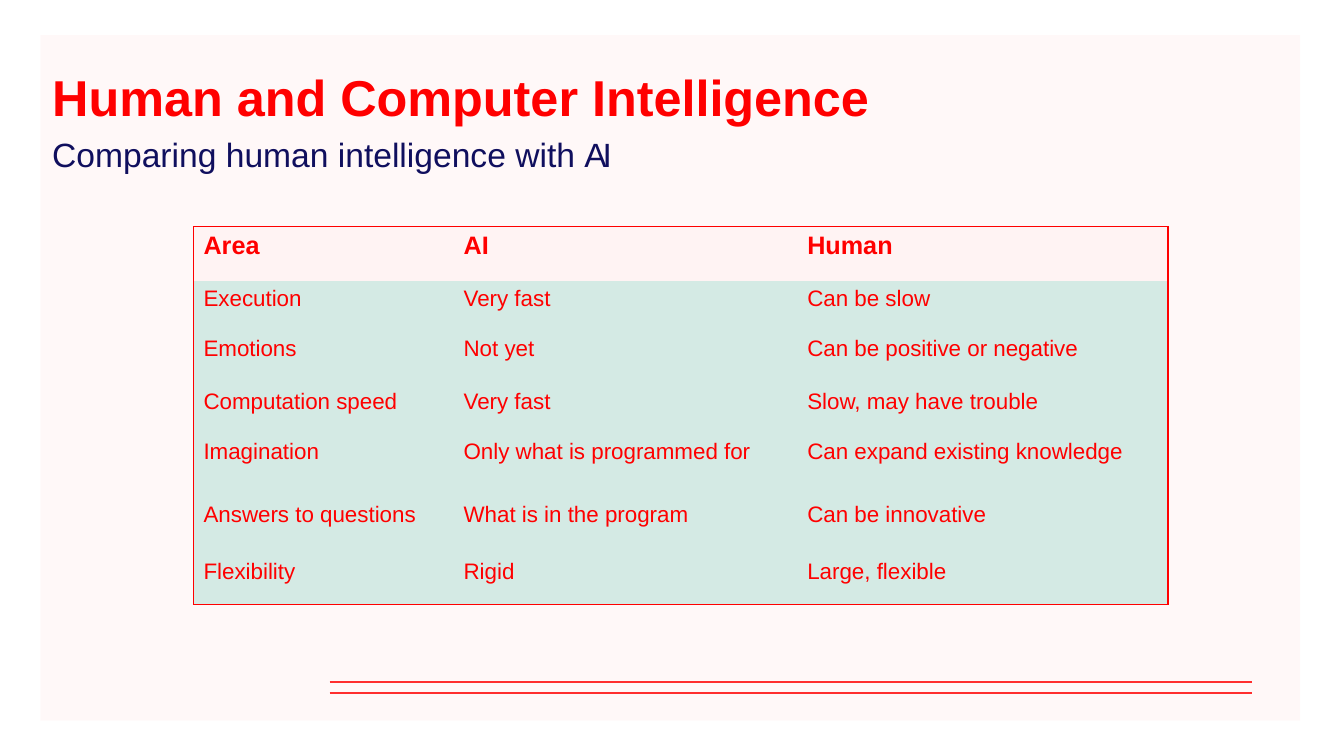
from dataclasses import dataclass

from lxml import etree
from pptx import Presentation
from pptx.dml.color import RGBColor
from pptx.enum import shapes, text
from pptx.oxml import ns
from pptx.util import Pt


@dataclass(frozen=True)
class Theme:
    font: str = "Arial"
    red: str = "FF0000"
    rule: str = "FF2E2E"
    navy: str = "100F5E"
    pink: str = "FFF3F3"
    mint: str = "D4EAE4"
    title_size: int = 36
    subtitle_size: int = 24
    header_size: int = 18
    cell_size: int = 16


THEME = Theme()

COLUMN_WIDTHS = [185.8, 245.5, 264.9]
ROW_HEIGHTS = [38.9, 36, 37.4, 36, 44.6, 41, 36]
COMPARISON = [
    ["Area", "AI", "Human"],
    ["Execution", "Very fast", "Can be slow"],
    ["Emotions", "Not yet", "Can be positive or negative"],
    ["Computation speed", "Very fast", "Slow, may have trouble"],
    ["Imagination", "Only what is programmed for", "Can expand existing knowledge"],
    ["Answers to questions", "What is in the program", "Can be innovative"],
    ["Flexibility", "Rigid", "Large, flexible"],
]


def style_font(paragraph, size, color, bold=False):
    font = paragraph.font
    font.name, font.size, font.bold = THEME.font, Pt(size), bold
    font.color.rgb = RGBColor.from_string(color)


def add_panel(slide, left, top, width, height):
    """Half-transparent backdrop."""
    panel = slide.shapes.add_shape(
        shapes.MSO_SHAPE.RECTANGLE, Pt(left), Pt(top), Pt(width), Pt(height))
    panel.shadow.inherit = False
    panel.line.fill.background()
    panel.fill.solid()
    panel.fill.fore_color.rgb = RGBColor.from_string(THEME.pink)
    color = panel.fill._xPr.find(".//" + ns.qn("a:srgbClr"))
    etree.SubElement(color, ns.qn("a:alpha"), val="50000")


def add_double_rule(slide, left, top, width, gap):
    """Two parallel footer lines."""
    for y in (top, top + gap):
        rule = slide.shapes.add_connector(
            shapes.MSO_CONNECTOR.STRAIGHT, Pt(left), Pt(y), Pt(left + width), Pt(y))
        rule.line.width = Pt(1.5)
        rule.line.color.rgb = RGBColor.from_string(THEME.rule)
        etree.SubElement(rule._element.spPr, ns.qn("a:effectLst"))


def add_line_of_text(slide, left, top, width, height, anchor, runs):
    box = slide.shapes.add_textbox(Pt(left), Pt(top), Pt(width), Pt(height))
    frame = box.text_frame
    frame.word_wrap = True
    frame.vertical_anchor = anchor
    paragraph = frame.paragraphs[0]
    paragraph.line_spacing = 0.9
    for words in runs:
        paragraph.add_run().text = words
    return paragraph


def add_heading(slide, left, top, width):
    """Title with the subtitle below it."""
    title = add_line_of_text(slide, left, top, width, 46.8, text.MSO_ANCHOR.MIDDLE,
                             ["Human and Computer Intelligence"])
    style_font(title, THEME.title_size, THEME.red, bold=True)

    subtitle = add_line_of_text(slide, left, top + 47.5, width, 33.1, text.MSO_ANCHOR.TOP,
                                ["Comparing human intelligence with ", "AI"])
    style_font(subtitle, THEME.subtitle_size, THEME.navy)
    # Tighten the letters of the last word
    subtitle.runs[-1].font._element.set("spc", "-300")


def set_borders(cell, visible):
    """Draw the named sides (L, R, T, B) and hide the others."""
    properties = cell._tc.get_or_add_tcPr()
    for index, side in enumerate("LRTB"):
        line = etree.Element(ns.qn("a:ln" + side), w=str(Pt(1)))
        if side in visible:
            fill = etree.SubElement(line, ns.qn("a:solidFill"))
            etree.SubElement(fill, ns.qn("a:srgbClr"), val=THEME.red)
        else:
            etree.SubElement(line, ns.qn("a:noFill"))
        properties.insert(index, line)


def add_comparison_table(slide, left, top):
    """Table with a header row and an outer frame only."""
    last_row, last_column = len(ROW_HEIGHTS) - 1, len(COLUMN_WIDTHS) - 1
    table = slide.shapes.add_table(
        last_row + 1, last_column + 1, Pt(left), Pt(top),
        Pt(sum(COLUMN_WIDTHS)), Pt(sum(ROW_HEIGHTS))).table
    table.horz_banding = False
    for column, width in zip(table.columns, COLUMN_WIDTHS):
        column.width = Pt(width)
    for r, (row, height) in enumerate(zip(table.rows, ROW_HEIGHTS)):
        row.height = Pt(height)
        header = r == 0
        for c, cell in enumerate(row.cells):
            cell.text = COMPARISON[r][c]
            style_font(cell.text_frame.paragraphs[0],
                       THEME.header_size if header else THEME.cell_size,
                       THEME.red, bold=header)
            cell.fill.solid()
            cell.fill.fore_color.rgb = RGBColor.from_string(
                THEME.pink if header else THEME.mint)
            edges = {"L": c == 0, "R": c == last_column, "T": header, "B": r == last_row}
            set_borders(cell, [side for side, outer in edges.items() if outer])


def main():
    presentation = Presentation()
    presentation.slide_width, presentation.slide_height = Pt(960), Pt(540)
    slide = presentation.slides.add_slide(presentation.slide_layouts[6])
    add_panel(slide, 28.8, 25.2, 900, 489.6)
    add_double_rule(slide, 235.4, 486.9, 658.8, 8.3)
    add_heading(slide, 30.2, 48.2, 828)
    add_comparison_table(slide, 138.2, 162)
    presentation.save("out.pptx")


if __name__ == "__main__":
    main()
